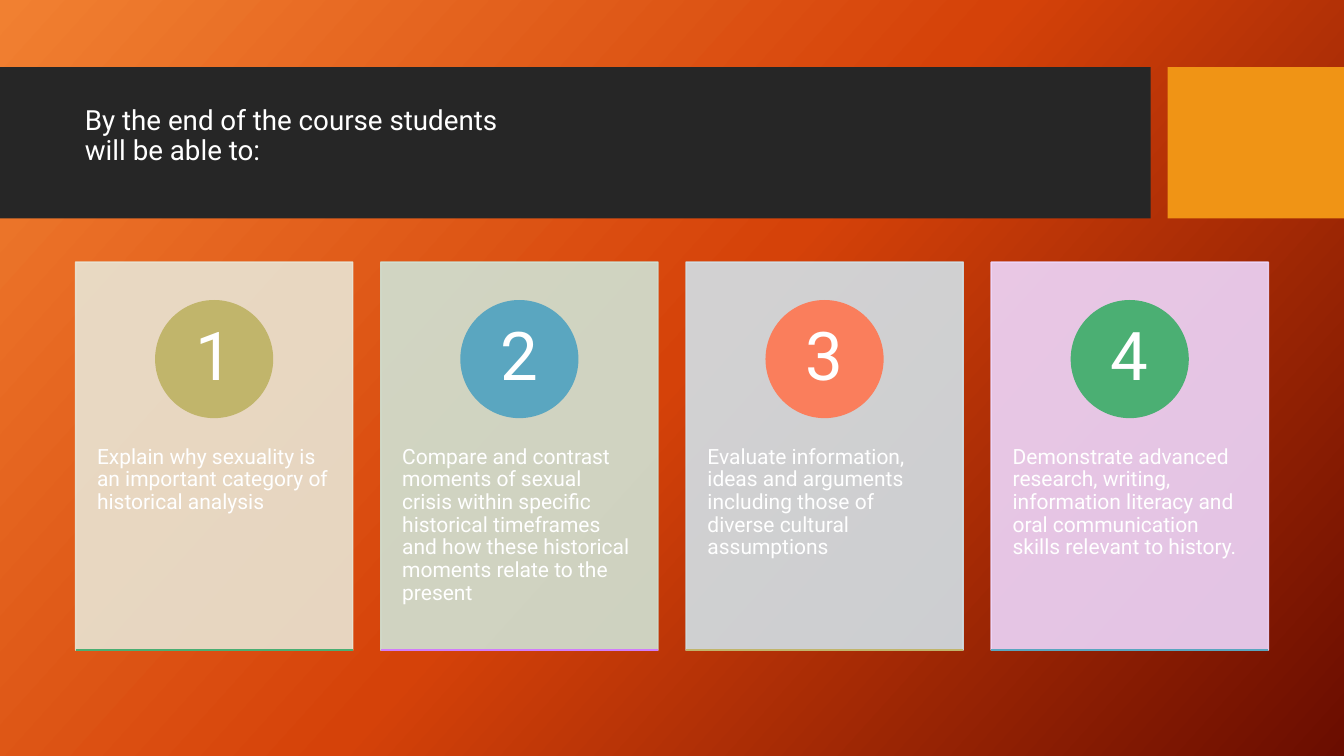
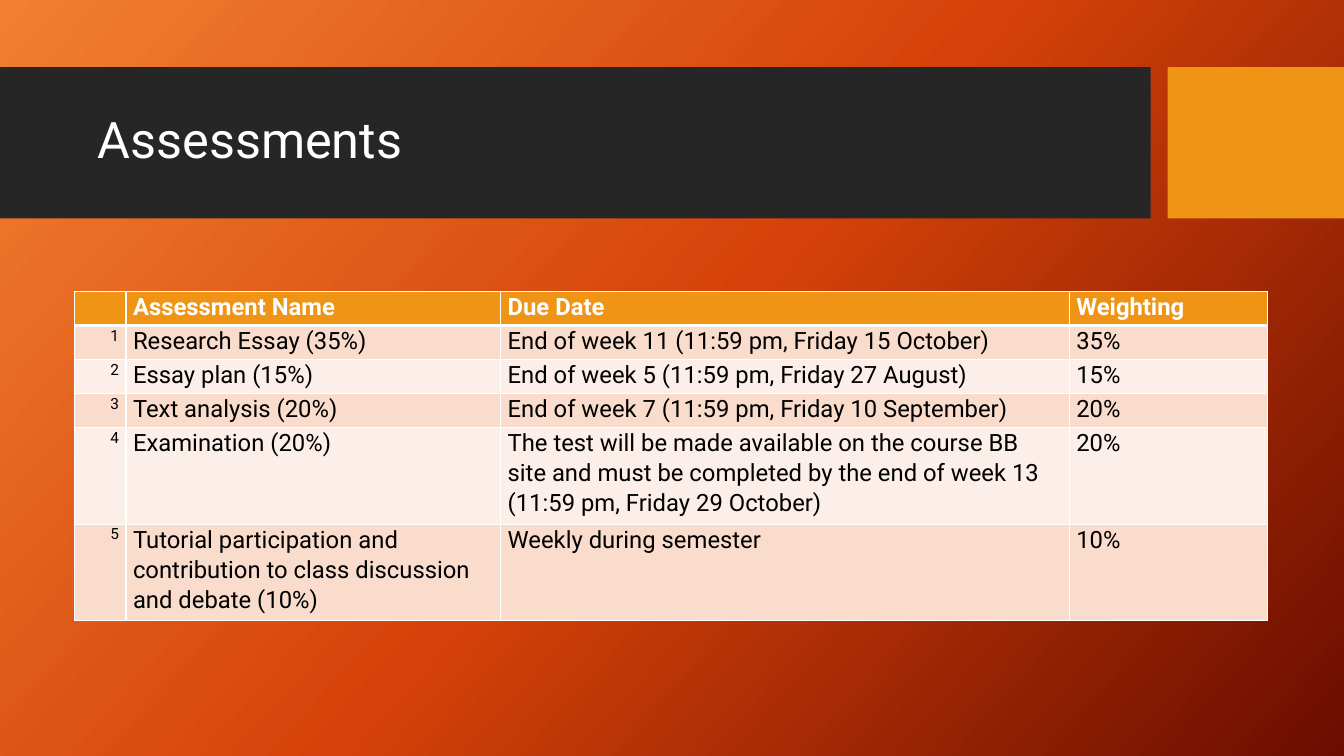
from copy import deepcopy

from lxml import etree
from pptx import Presentation
from pptx.dml.color import RGBColor
from pptx.enum.shapes import MSO_CONNECTOR, MSO_SHAPE
from pptx.enum.text import MSO_ANCHOR, MSO_AUTO_SIZE, PP_ALIGN
from pptx.oxml.ns import qn
from pptx.util import Inches, Pt

RECTANGLE, OVAL = MSO_SHAPE.RECTANGLE, MSO_SHAPE.OVAL
STRAIGHT = MSO_CONNECTOR.STRAIGHT
TOP, MIDDLE = MSO_ANCHOR.TOP, MSO_ANCHOR.MIDDLE
LEFT, CENTER, RIGHT = PP_ALIGN.LEFT, PP_ALIGN.CENTER, PP_ALIGN.RIGHT
NO_AUTOFIT = MSO_AUTO_SIZE.NONE

WHITE = RGBColor(0xFF, 0xFF, 0xFF)
BLACK = RGBColor(0x00, 0x00, 0x00)
CHARCOAL = RGBColor(0x26, 0x26, 0x26)
AMBER = RGBColor(0xF0, 0x94, 0x15)
PEACH = RGBColor(0xF9, 0xDC, 0xCC)
PALE_PEACH = RGBColor(0xFC, 0xEE, 0xE8)
SAND = RGBColor(0xE9, 0xE5, 0xD4)
MINT = RGBColor(0xD0, 0xE3, 0xD5)
MIST = RGBColor(0xD2, 0xE1, 0xE8)
LILAC = RGBColor(0xEE, 0xD7, 0xFD)
OLIVE = RGBColor(0xC1, 0xB5, 0x6B)
BLUE = RGBColor(0x5A, 0xA6, 0xC0)
CORAL = RGBColor(0xFA, 0x7E, 0x5C)
GREEN = RGBColor(0x4B, 0xAF, 0x73)
VIOLET = RGBColor(0xD1, 0x7D, 0xF9)
BACKDROP = [
    (0, RGBColor(0xF1, 0x80, 0x31)),
    (0.5, RGBColor(0xD5, 0x42, 0x09)),
    (1, RGBColor(0x6A, 0x0D, 0x00)),
]

FONT = "Roboto"
COLUMNS, ROWS = 160, 90
MARGIN = 9
TITLE_ONLY_LAYOUT = 5

OUTCOMES = [
    ("Explain why sexuality is an important category of historical analysis",
     SAND, OLIVE, GREEN),
    ("Compare and contrast moments of sexual crisis within specific historical "
     "timeframes and how these historical moments relate to the present",
     MINT, BLUE, VIOLET),
    ("Evaluate information, ideas and arguments including those of diverse "
     "cultural assumptions",
     MIST, CORAL, OLIVE),
    ("Demonstrate advanced research, writing, information literacy and oral "
     "communication skills relevant to history.",
     LILAC, GREEN, BLUE),
]

ASSESSMENTS = [
    ("", "Assessment Name", "Due Date", "Weighting"),
    ("1", "Research Essay (35%)",
     "End of week 11 (11:59 pm, Friday 15 October)", "35%"),
    ("2", "Essay plan (15%)",
     "End of week 5 (11:59 pm, Friday 27 August)", "15%"),
    ("3", "Text analysis (20%)",
     "End of week 7 (11:59 pm, Friday 10 September)", "20%"),
    ("4", "Examination (20%)",
     "The test will be made available on the course BB site and must be "
     "completed by the end of week 13 (11:59 pm, Friday 29 October)", "20%"),
    ("5", "Tutorial participation and contribution to class discussion "
     "and debate (10%)", "Weekly during semester", "10%"),
]


class Deck:
    """Holds the shared style and the current slide; lengths are grid cells."""

    def __init__(self):
        self.prs = Presentation()
        self.prs.slide_width, self.prs.slide_height = Inches(13.333), Inches(7.5)
        self.layout = self.prs.slide_layouts[TITLE_ONLY_LAYOUT]
        self.slide = None
        self.paint_backdrop()

    def x(self, columns):
        return round(self.prs.slide_width * columns / COLUMNS)

    def y(self, rows):
        return round(self.prs.slide_height * rows / ROWS)

    def box(self, left, top, width, height):
        return self.x(left), self.y(top), self.x(width), self.y(height)

    def paint_backdrop(self):
        fill = self.layout.background.fill
        fill.gradient()
        fill.gradient_angle = 360 - 42
        stops = self.layout.element.xpath(".//a:gsLst")[0]
        stops.append(deepcopy(stops[0]))
        for stop, (position, color) in zip(fill.gradient_stops, BACKDROP):
            stop.position = position
            stop.color.rgb = color

    def new_slide(self, title, size, indent=0, lift=0):
        """Start a slide with its bands and title; lift raises the title text."""
        self.slide = self.prs.slides.add_slide(self.layout)
        heading = self.slide.shapes.title
        self.shape(RECTANGLE, (0, 8, 137, 18), CHARCOAL)
        self.shape(RECTANGLE, (139, 8, 21, 18), AMBER)
        self.slide.shapes.element.append(heading.element)
        heading.left, heading.top, heading.width, heading.height = self.box(
            8.9, 9.8, 126.1, 14.2)
        frame = heading.text_frame
        self.set_text(frame, title, size)
        frame.auto_size = NO_AUTOFIT
        frame.margin_left = Inches(0.1) + self.x(indent)
        frame.margin_bottom = Inches(0.05) + self.y(2 * lift)

    def set_text(self, frame, text, size, color=WHITE, align=LEFT,
                 anchor=MIDDLE, spacing=0.9, bold=False):
        frame.text = text
        frame.word_wrap = True
        frame.vertical_anchor = anchor
        for paragraph in frame.paragraphs:
            paragraph.alignment = align
            paragraph.line_spacing = spacing
            for run in paragraph.runs:
                run.font.name = FONT
                run.font.size = Pt(size)
                run.font.bold = bold
                run.font.color.rgb = color

    def shape(self, preset, area, color, outlined=False, opacity=100):
        shape = self.slide.shapes.add_shape(preset, *self.box(*area))
        shape.shadow.inherit = False
        shape.fill.solid()
        shape.fill.fore_color.rgb = color
        if outlined:
            shape.line.color.rgb = color
            shape.line.width = Pt(1)
        else:
            shape.line.fill.background()
        if opacity < 100:
            for tone in shape.element.xpath("./p:spPr//a:srgbClr"):
                alpha = etree.SubElement(tone, qn("a:alpha"))
                alpha.set("val", str(opacity * 1000))
        return shape

    def rule(self, left, top, width, color):
        line = self.slide.shapes.add_connector(
            STRAIGHT, self.x(left), self.y(top), self.x(left + width), self.y(top))
        line.line.color.rgb = color
        line.line.width = Pt(1)
        etree.SubElement(line.element.spPr, qn("a:effectLst"))

    def card(self, left, width, number, text, tint, badge_color, rule_color):
        top, height, badge_size = 31.2, 46.2, 13.9
        frame = self.shape(RECTANGLE, (left, top, width, height), tint,
                           outlined=True, opacity=90).text_frame
        self.set_text(frame, text, 15, anchor=TOP)
        frame.margin_left = frame.margin_right = self.x(2.55)
        frame.margin_top = self.y(21.9)
        badge_left = left + (width - badge_size) / 2
        badge = self.shape(OVAL, (badge_left, 35.8, badge_size, badge_size),
                           badge_color, outlined=True).text_frame
        self.set_text(badge, str(number), 48, align=CENTER)
        badge.margin_top = badge.margin_bottom = 0
        self.rule(left, top + height, width, rule_color)

    def cards(self, outcomes, width=33):
        step = (COLUMNS - 2 * MARGIN - width) / (len(outcomes) - 1)
        for index, outcome in enumerate(outcomes):
            self.card(MARGIN + index * step, width, index + 1, *outcome)

    def table(self, records, left, top, widths, heights):
        area = self.box(left, top, sum(widths), sum(heights))
        table = self.slide.shapes.add_table(
            len(records), len(widths), *area).table
        table.first_row = table.horz_banding = False
        for column, width in zip(table.columns, widths):
            column.width = self.x(width)
        for row, height in zip(table.rows, heights):
            row.height = self.y(height)
        for r, record in enumerate(records):
            for c, text in enumerate(record):
                self.table_cell(table.cell(r, c), text, r, is_number=c == 0)

    def table_cell(self, cell, text, row, is_number):
        is_header = row == 0
        cell.margin_left = cell.margin_right = Inches(0.07)
        cell.margin_top = cell.margin_bottom = 0
        self.set_text(cell.text_frame, text, 11 if is_number else 17,
                      color=WHITE if is_header else BLACK,
                      align=RIGHT if is_number else LEFT,
                      anchor=TOP, spacing=1.07, bold=is_header)
        cell.fill.solid()
        cell.fill.fore_color.rgb = (
            AMBER if is_header else PEACH if row % 2 else PALE_PEACH)
        self.cell_borders(cell, top=3 if row == 1 else 1,
                          bottom=3 if is_header else 1)

    def cell_borders(self, cell, top, bottom):
        properties = cell._tc.get_or_add_tcPr()
        edges = [("a:lnL", 1), ("a:lnR", 1), ("a:lnT", top), ("a:lnB", bottom)]
        for position, (tag, points) in enumerate(edges):
            edge = etree.Element(qn(tag), w=str(Pt(points)))
            fill = etree.SubElement(edge, qn("a:solidFill"))
            etree.SubElement(fill, qn("a:srgbClr"), val=str(WHITE))
            properties.insert(position, edge)


def main():
    deck = Deck()

    deck.new_slide("By the end of the course students\vwill be able to:",
                   size=19.8, lift=0.6)
    deck.cards(OUTCOMES)

    deck.new_slide("Assessments", size=36, indent=1.5)
    deck.table(ASSESSMENTS, left=8.9, top=34.7,
               widths=[6.1, 44.6, 67.7, 23.6],
               heights=[4.05] * 4 + [11.5] * 2)

    deck.prs.save("out.pptx")


if __name__ == "__main__":
    main()
